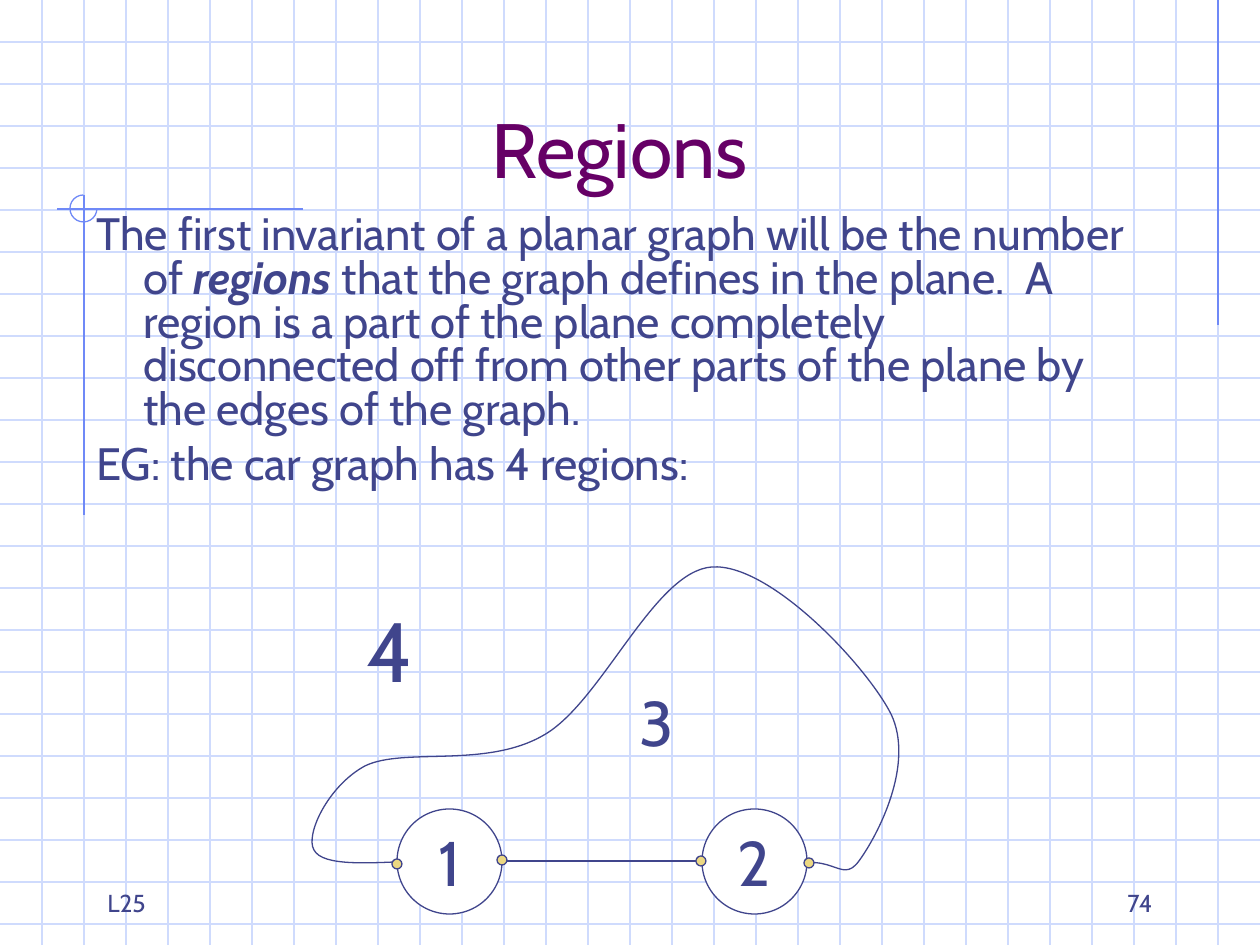
"""Build the Regions slide: a car-shaped planar graph on a squared-paper background."""
from lxml import etree
from pptx import Presentation
from pptx import util as u
from pptx.dml.color import RGBColor
from pptx.enum import shapes, text
from pptx.oxml.ns import qn

PX = u.Inches(1) / 126
WIDTH, HEIGHT, GRID = 1260, 945, 42
FONT = "Cabin"
INK = RGBColor(0x40, 0x45, 0x8C)
PLUM = RGBColor(0x66, 0x00, 0x66)
PAPER = RGBColor(0xFF, 0xFF, 0xFF)
GRID_BLUE = RGBColor(0xCF, 0xDB, 0xFD)
ACCENT_BLUE = RGBColor(0x6F, 0x89, 0xF7)
GOLD = RGBColor(0xEC, 0xD8, 0x82)
LEFT, CENTER, RIGHT = text.PP_ALIGN.LEFT, text.PP_ALIGN.CENTER, text.PP_ALIGN.RIGHT
TOP, MIDDLE, BOTTOM = text.MSO_ANCHOR.TOP, text.MSO_ANCHOR.MIDDLE, text.MSO_ANCHOR.BOTTOM

CAR_BODY = [
    (418, 861),
    (370, 863), (323, 867), (314, 850),
    (305, 835), (328, 786), (365, 766),
    (404, 747), (486, 769), (544, 735),
    (602, 702), (654, 571), (712, 567),
    (770, 563), (866, 665), (891, 714),
    (915, 764), (878, 835), (859, 861),
    (840, 887), (832, 845), (775, 872),
]
DEFINITION = [
    ("The first invariant of a planar graph will be the number of ", False),
    ("regions", True),
    (" that the graph defines in the plane.  A region is a part of the plane completely "
     "disconnected off from other parts of the plane by the edges of the graph.", False),
]
EXAMPLE = [("EG: the car graph has 4 regions:", False)]


def emu(*lengths):
    return [u.Emu(round(length * PX)) for length in lengths]


class SlideBuilder:
    """Holds the current slide and the style shared by its elements."""

    def __init__(self, slide, font=FONT, ink=INK, weight=0.75):
        self.shapes = slide.shapes
        self.font, self.ink, self.weight = font, ink, u.Pt(weight)

    def outline(self, shape, color):
        shape.line.color.rgb = color
        shape.line.width = self.weight

    def line(self, x1, y1, x2, y2, color):
        connector = self.shapes.add_connector(
            shapes.MSO_CONNECTOR.STRAIGHT, *emu(x1, y1, x2, y2))
        self.outline(connector, color)
        etree.SubElement(connector._element.spPr, qn("a:effectLst"))

    def shape(self, kind, box, line, fill=None):
        shape = self.shapes.add_shape(kind, *emu(*box))
        shape.shadow.inherit = False
        self.outline(shape, line)
        if fill is None:
            shape.fill.background()
        else:
            shape.fill.solid()
            shape.fill.fore_color.rgb = fill
        return shape

    def curve(self, points):
        start, *controls = [emu(*point) for point in points]
        builder = self.shapes.build_freeform(*start)
        builder.add_line_segments(controls, close=False)
        shape = builder.convert_to_shape()
        shape.shadow.inherit = False
        shape.fill.background()
        self.outline(shape, self.ink)
        segments = list(shape._element.iter(qn("a:lnTo")))
        for i in range(0, len(segments), 3):
            bezier = etree.Element(qn("a:cubicBezTo"))
            segments[i].addprevious(bezier)
            for segment in segments[i:i + 3]:
                bezier.append(segment[0])
                segment.getparent().remove(segment)

    def style(self, paragraph, size, color=None, align=LEFT):
        paragraph.alignment = align
        paragraph.font.name = self.font
        paragraph.font.size = u.Pt(size)
        paragraph.font.color.rgb = color or self.ink

    def set_text(self, shape, words, size, color=None, align=LEFT, anchor=TOP, wrap=False):
        frame = shape.text_frame
        frame.word_wrap = wrap
        frame.vertical_anchor = anchor
        frame.text = words
        self.style(frame.paragraphs[0], size, color, align)

    def label(self, box, words, size, **style):
        self.set_text(self.shapes.add_textbox(*emu(*box)), words, size, **style)

    def body(self, box, paragraphs, size):
        frame = self.shapes.add_textbox(*emu(*box)).text_frame
        frame.word_wrap = True
        for index, runs in enumerate(paragraphs):
            paragraph = frame.add_paragraph() if index else frame.paragraphs[0]
            properties = paragraph._p.get_or_add_pPr()
            indent = emu(47)[0]
            properties.set("marL", str(indent))
            properties.set("indent", str(-indent))
            paragraph.line_spacing = 0.8
            if index:
                paragraph.space_before = u.Pt(7)
            self.style(paragraph, size)
            for words, emphasis in runs:
                run = paragraph.add_run()
                run.text = words
                if emphasis:
                    run.font.bold = run.font.italic = True

    def wheel(self, x, y, number):
        wheel = self.shape(shapes.MSO_SHAPE.OVAL, (x, y, 105, 105), self.ink, PAPER)
        self.set_text(wheel, number, 36, align=CENTER, anchor=MIDDLE)

    def vertex(self, x, y):
        self.shape(shapes.MSO_SHAPE.OVAL, (x - 5, y - 5, 10, 10), self.ink, GOLD)

    def background(self):
        for y in range(GRID, HEIGHT, GRID):
            self.line(0, y, WIDTH, y, GRID_BLUE)
        for x in range(GRID, WIDTH, GRID):
            self.line(x, 0, x, HEIGHT, GRID_BLUE)
        self.line(1218, 0, 1218, 325, ACCENT_BLUE)
        self.line(303, 209, 57, 209, ACCENT_BLUE)
        self.line(84, 195, 84, 515, ACCENT_BLUE)
        arc = self.shape(shapes.MSO_SHAPE.ARC, (70, 195, 27, 27), ACCENT_BLUE)
        arc.adjustments[0], arc.adjustments[1] = 0, 162


def main():
    presentation = Presentation()
    presentation.slide_width, presentation.slide_height = emu(WIDTH, HEIGHT)
    slide = presentation.slides.add_slide(presentation.slide_layouts[6])
    builder = SlideBuilder(slide)

    builder.background()
    builder.label((84, 42, 1071, 158), "Regions", 44,
                  color=PLUM, align=CENTER, anchor=BOTTOM, wrap=True)
    builder.body((84, 210, 1071, 325), [DEFINITION, EXAMPLE], 25.9)

    builder.curve(CAR_BODY)
    builder.line(481, 861, 712, 861, INK)
    builder.wheel(702, 809, "2")
    builder.wheel(397, 809, "1")
    for x, y in [(701, 861), (502, 860), (809, 863), (397, 864)]:
        builder.vertex(x, y)
    builder.label((627, 677, 60, 88), "3", 36)
    builder.label((354, 592, 73, 113), "4", 48)

    builder.label((903, 861, 262, 63), "74", 14, align=RIGHT, anchor=BOTTOM, wrap=True)
    builder.label((95, 861, 262, 63), "L25", 14, anchor=BOTTOM, wrap=True)
    presentation.save("out.pptx")


if __name__ == "__main__":
    main()
